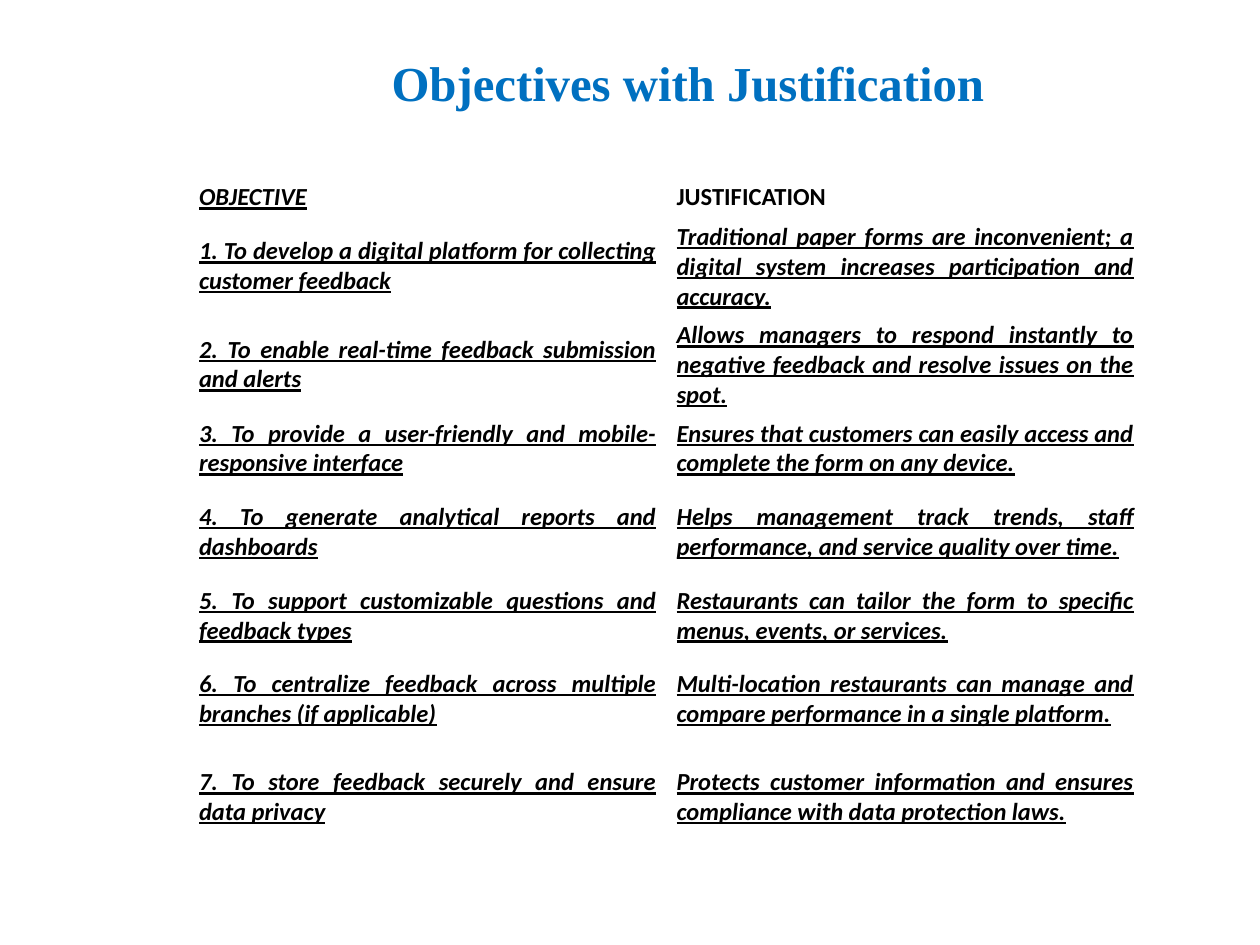
import dataclasses

import pptx
import pptx.dml.color
import pptx.enum.text
import pptx.util

W, H = 10, 7.5
COLORS = {"title": "0070C0", "text": "000000"}
ALIGN = pptx.enum.text.PP_ALIGN
ANCHOR = pptx.enum.text.MSO_ANCHOR
ROW_HEIGHTS = [0.31, 0.78, 0.78, 0.54, 0.78, 0.54, 0.78, 0.78]


@dataclasses.dataclass
class Goal:
    objective: str
    justification: str


@dataclasses.dataclass
class Style:
    font: str
    size: float
    color: str
    align: ALIGN
    emphasis: bool = False


GOALS = [
    Goal("To develop a digital platform for collecting customer feedback",
         "Traditional paper forms are inconvenient; a digital system increases participation and accuracy."),
    Goal("To enable real-time feedback submission and alerts",
         "Allows managers to respond instantly to negative feedback and resolve issues on the spot."),
    Goal("To provide a user-friendly and mobile-responsive interface",
         "Ensures that customers can easily access and complete the form on any device."),
    Goal("To generate analytical reports and dashboards",
         "Helps management track trends, staff performance, and service quality over time."),
    Goal("To support customizable questions and feedback types",
         "Restaurants can tailor the form to specific menus, events, or services."),
    Goal("To centralize feedback across multiple branches (if applicable)",
         "Multi-location restaurants can manage and compare performance in a single platform."),
    Goal("To store feedback securely and ensure data privacy",
         "Protects customer information and ensures compliance with data protection laws."),
]

TITLE = Style("Times New Roman", 27.9, "title", ALIGN.CENTER)
HEAD_LEFT = Style("Calibri", 14, "text", ALIGN.LEFT, True)
HEAD_RIGHT = dataclasses.replace(HEAD_LEFT, emphasis=False)
BODY = dataclasses.replace(HEAD_LEFT, align=ALIGN.JUSTIFY)


def share(x: float, y: float, w: float, h: float) -> list[int]:
    return [pptx.util.Inches(v) for v in (x * W, y * H, w * W, h * H)]


def write(tf: pptx.text.text.TextFrame, text: str, style: Style) -> None:
    tf.text = text
    p = tf.paragraphs[0]
    p.alignment = style.align
    for r in p.runs:
        r.font.name = style.font
        r.font.size = pptx.util.Pt(style.size)
        r.font.bold = True
        r.font.italic = style.emphasis
        r.font.underline = style.emphasis
        r.font.color.rgb = pptx.dml.color.RGBColor.from_string(COLORS[style.color])


def add_title(s: pptx.slide.Slide, text: str) -> None:
    tf = s.shapes.add_textbox(*share(0.117, 0.04, 0.858, 0.167)).text_frame
    tf.word_wrap = True
    tf.vertical_anchor = ANCHOR.TOP
    tf.margin_top = pptx.util.Inches(0.12)
    write(tf, text, TITLE)


def fill_cell(cell: pptx.table._Cell, text: str, style: Style) -> None:
    cell.fill.background()
    cell.vertical_anchor = ANCHOR.MIDDLE
    cell.margin_left = cell.margin_right = pptx.util.Inches(0.08)
    cell.margin_top = cell.margin_bottom = pptx.util.Inches(0.04)
    write(cell.text_frame, text, style)


def add_goals(s: pptx.slide.Slide, goals: list[Goal]) -> None:
    box = share(0.15, 0.188, 0.758, sum(ROW_HEIGHTS) / H)
    table = s.shapes.add_table(len(goals) + 1, 2, *box).table
    table.first_row = table.horz_banding = False
    for row, height in zip(table.rows, ROW_HEIGHTS):
        row.height = pptx.util.Inches(height)
    fill_cell(table.cell(0, 0), "OBJECTIVE", HEAD_LEFT)
    fill_cell(table.cell(0, 1), "JUSTIFICATION", HEAD_RIGHT)
    for i, goal in enumerate(goals, 1):
        fill_cell(table.cell(i, 0), f"{i}. {goal.objective}", BODY)
        fill_cell(table.cell(i, 1), goal.justification, BODY)


def main() -> None:
    prs = pptx.Presentation()
    prs.slide_width = pptx.util.Inches(W)
    prs.slide_height = pptx.util.Inches(H)
    s = prs.slides.add_slide(prs.slide_layouts[6])
    add_title(s, "Objectives with Justification")
    add_goals(s, GOALS)
    prs.save("out.pptx")


if __name__ == "__main__":
    main()
